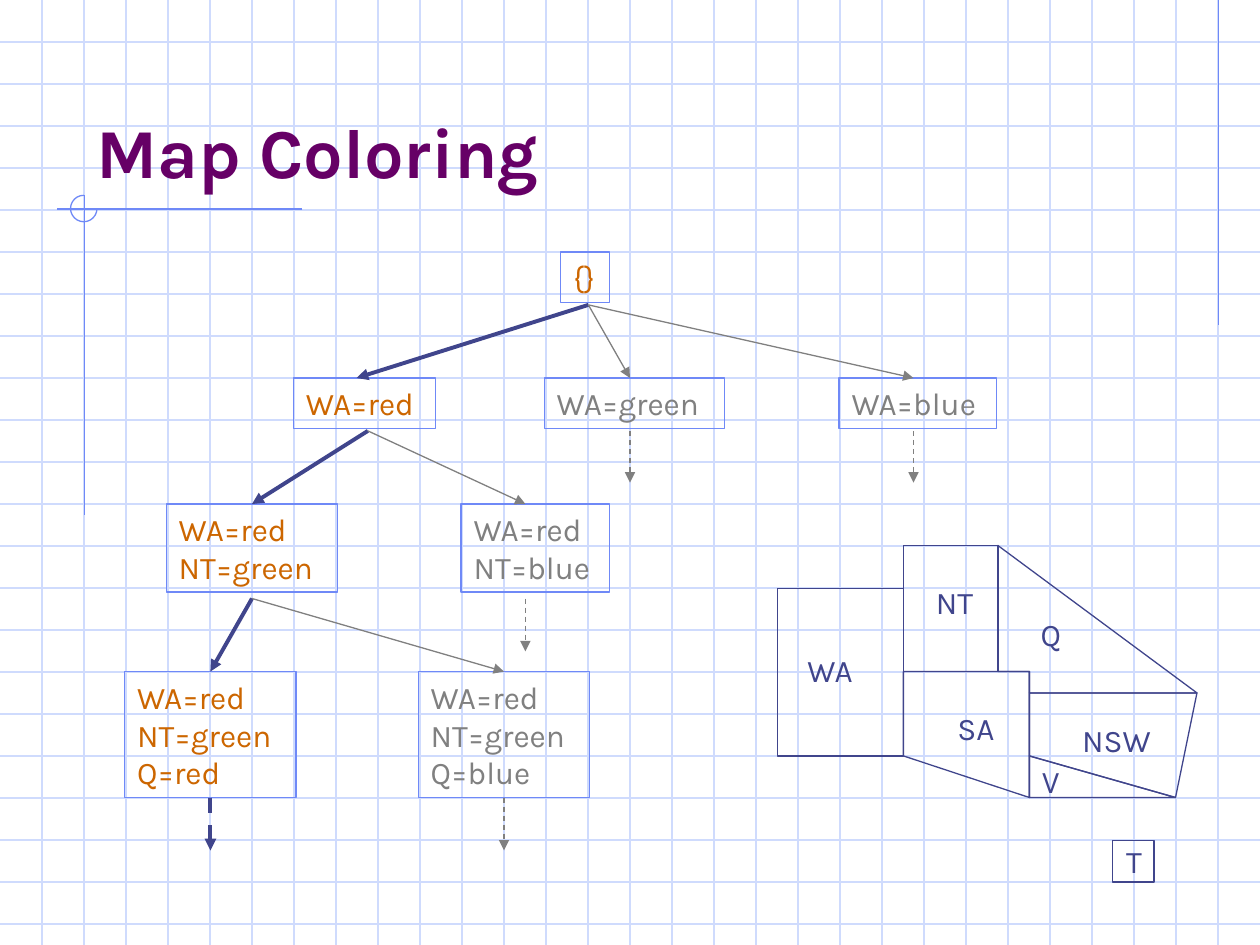
from dataclasses import dataclass
from typing import Optional

from lxml import etree
from pptx import Presentation
from pptx import util as u
from pptx.dml.color import RGBColor
from pptx.enum import dml, shapes, text
from pptx.oxml.ns import qn

COLORS = {
    "grid": "CFDBFD",
    "frame": "6F89F7",
    "title": "660066",
    "chosen": "CC6600",
    "other": "808080",
    "map": "40458C",
}
FONT = "Karla"
WIDTH, HEIGHT, GRID = 10, 7.5, 1 / 3


@dataclass
class State:
    name: str
    left: float
    top: float
    width: float
    height: float
    lines: list[str]
    color: str = "other"


@dataclass
class Edge:
    start: tuple[float, float]
    end: tuple[float, float]
    chosen: bool = False
    dashed: bool = False
    source: Optional[str] = None
    target: Optional[str] = None


@dataclass
class Label:
    words: str
    left: float
    top: float
    width: float


STATES = [
    State("root", 4.45, 2, 0.39, 0.4, ["{}"], "chosen"),
    State("red", 2.33, 3, 1.13, 0.4, ["WA=red"], "chosen"),
    State("green", 4.32, 3, 1.43, 0.4, ["WA=green"]),
    State("blue", 6.66, 3, 1.25, 0.4, ["WA=blue"]),
    State("red-green", 1.32, 4, 1.36, 0.7, ["WA=red", "NT=green"], "chosen"),
    State("red-blue", 3.66, 4, 1.18, 0.7, ["WA=red", "NT=blue"]),
    State("red-green-red", 0.99, 5.33, 1.36, 1, ["WA=red", "NT=green", "Q=red"], "chosen"),
    State("red-green-blue", 3.32, 5.33, 1.36, 1, ["WA=red", "NT=green", "Q=blue"]),
]
EDGES = [
    Edge((4.67, 2.42), (2.83, 3), chosen=True),
    Edge((2.92, 3.42), (2, 4), chosen=True, target="red-green"),
    Edge((2, 4.75), (1.67, 5.33), chosen=True, target="red-green-red"),
    Edge((1.67, 6.33), (1.67, 6.75), chosen=True, dashed=True, source="red-green-red"),
    Edge((4.67, 2.42), (5, 3)),
    Edge((4.67, 2.42), (7.25, 3)),
    Edge((2, 4.75), (4, 5.33), target="red-green-blue"),
    Edge((2.92, 3.42), (4.17, 4)),
    Edge((4.17, 4.75), (4.17, 5.17), dashed=True),
    Edge((5, 3.42), (5, 3.83), dashed=True),
    Edge((4, 6.33), (4, 6.75), dashed=True, source="red-green-blue"),
    Edge((7.25, 3.42), (7.25, 3.83), dashed=True),
]
SQUARE_REGIONS = [(6.17, 4.67, 1, 1.33), (7.17, 4.33, 0.75, 1), (8.83, 6.67, 0.33, 0.33)]
SLANTED_REGIONS = [
    [(7.17, 5.33), (8.17, 5.33), (8.17, 6.33), (7.17, 6)],
    [(7.92, 4.33), (9.5, 5.5), (8.17, 5.5), (8.17, 5.33), (7.92, 5.33)],
    [(8.17, 5.5), (8.17, 6), (9.33, 6.33), (9.5, 5.5)],
    [(8.17, 6), (8.17, 6.33), (9.33, 6.33)],
]
LABELS = [
    Label("WA", 6.31, 5.12, 0.59),
    Label("NT", 7.33, 4.58, 0.53),
    Label("SA", 7.5, 5.58, 0.52),
    Label("Q", 8.16, 4.83, 0.39),
    Label("NSW", 8.49, 5.67, 0.76),
    Label("V", 8.17, 6, 0.35),
    Label("T", 8.84, 6.63, 0.34),
]


def rgb(name: str) -> RGBColor:
    """Look up a named colour."""
    return RGBColor.from_string(COLORS[name])


def outline(shape, color: str):
    """Leave a shape unfilled with a thin line."""
    shape.shadow.inherit = False
    shape.fill.background()
    shape.line.color.rgb = rgb(color)
    shape.line.width = u.Pt(0.75)
    return shape


def write(box, words: str, *, color: str, size: float = 18, bold: bool = False,
          wrap: bool = False, anchor=text.MSO_ANCHOR.TOP) -> None:
    """Fill a box with left-aligned lines of text."""
    frame = box.text_frame
    frame.word_wrap = wrap
    frame.auto_size = text.MSO_AUTO_SIZE.NONE if wrap else text.MSO_AUTO_SIZE.SHAPE_TO_FIT_TEXT
    frame.vertical_anchor = anchor
    for index, line in enumerate(words.split("\n")):
        para = frame.add_paragraph() if index else frame.paragraphs[0]
        para.alignment = text.PP_ALIGN.LEFT
        span = para.add_run()
        span.text = line
        span.font.name = FONT
        span.font.size = u.Pt(size)
        span.font.bold = bold
        span.font.color.rgb = rgb(color)


def add_line(page, start: tuple[float, float], end: tuple[float, float], color: str,
             weight: float = 0.75):
    """Draw a straight line without a shadow."""
    points = [u.Inches(value) for value in (*start, *end)]
    line = page.shapes.add_connector(shapes.MSO_CONNECTOR.STRAIGHT, *points)
    line.line.color.rgb = rgb(color)
    line.line.width = u.Pt(weight)
    etree.SubElement(line._element.spPr, qn("a:effectLst"))
    return line


def add_shape(page, kind, area: tuple[float, float, float, float], color: str):
    """Draw an outlined preset shape."""
    return outline(page.shapes.add_shape(kind, *map(u.Inches, area)), color)


def add_background(page) -> None:
    """Draw the grid and the ruled corner marks."""
    for step in range(1, 23):
        add_line(page, (0, step * GRID), (WIDTH, step * GRID), "grid")
    for step in range(1, 30):
        add_line(page, (step * GRID, 0), (step * GRID, HEIGHT), "grid")
    add_line(page, (9.67, 0), (9.67, 2.58), "frame")
    add_line(page, (2.4, 1.66), (0.45, 1.66), "frame")
    add_line(page, (0.67, 1.55), (0.67, 4.09), "frame")
    arc = add_shape(page, shapes.MSO_SHAPE.ARC, (0.56, 1.55, 0.21, 0.21), "frame")
    arc.adjustments[0] = 0
    arc.adjustments[1] = 162


def add_state(page, state: State):
    """Draw one node of the search tree."""
    area = (state.left, state.top, state.width, state.height)
    box = add_shape(page, shapes.MSO_SHAPE.RECTANGLE, area, "frame")
    write(box, "\n".join(state.lines), color=state.color)
    return box


def add_region(page, points: list[tuple[float, float]]) -> None:
    """Draw one slanted region of the map."""
    first, *rest = [(u.Inches(x), u.Inches(y)) for x, y in points]
    builder = page.shapes.build_freeform(*first, scale=1.0)
    builder.add_line_segments(rest, close=True)
    outline(builder.convert_to_shape(), "map")


def add_edge(page, edge: Edge, boxes: dict) -> None:
    """Draw one arrow of the search tree."""
    color, weight = ("map", 2.25) if edge.chosen else ("other", 0.75)
    arrow = add_line(page, edge.start, edge.end, color, weight)
    if edge.dashed:
        arrow.line.dash_style = dml.MSO_LINE.DASH
    etree.SubElement(arrow.line._get_or_add_ln(), qn("a:tailEnd"), type="triangle")
    if edge.source:
        arrow.begin_connect(boxes[edge.source], 2)
    if edge.target:
        arrow.end_connect(boxes[edge.target], 0)


def add_text(page, area: tuple[float, float, float, float], words: str, **style) -> None:
    """Place a formatted text box."""
    write(page.shapes.add_textbox(*map(u.Inches, area)), words, **style)


def main() -> None:
    """Build the map colouring slide."""
    deck = Presentation()
    deck.slide_width, deck.slide_height = u.Inches(WIDTH), u.Inches(HEIGHT)
    page = deck.slides.add_slide(deck.slide_layouts[6])
    add_background(page)
    add_text(page, (0.67, 0.33, 8.5, 1.25), "Map Coloring", color="title", size=40,
             bold=True, wrap=True, anchor=text.MSO_ANCHOR.BOTTOM)
    boxes = {state.name: add_state(page, state) for state in STATES}
    for area in SQUARE_REGIONS:
        add_shape(page, shapes.MSO_SHAPE.RECTANGLE, area, "map")
    for points in SLANTED_REGIONS:
        add_region(page, points)
    for label in LABELS:
        add_text(page, (label.left, label.top, label.width, 0.4), label.words, color="map")
    for edge in EDGES:
        add_edge(page, edge, boxes)
    deck.save("out.pptx")


if __name__ == "__main__":
    main()
